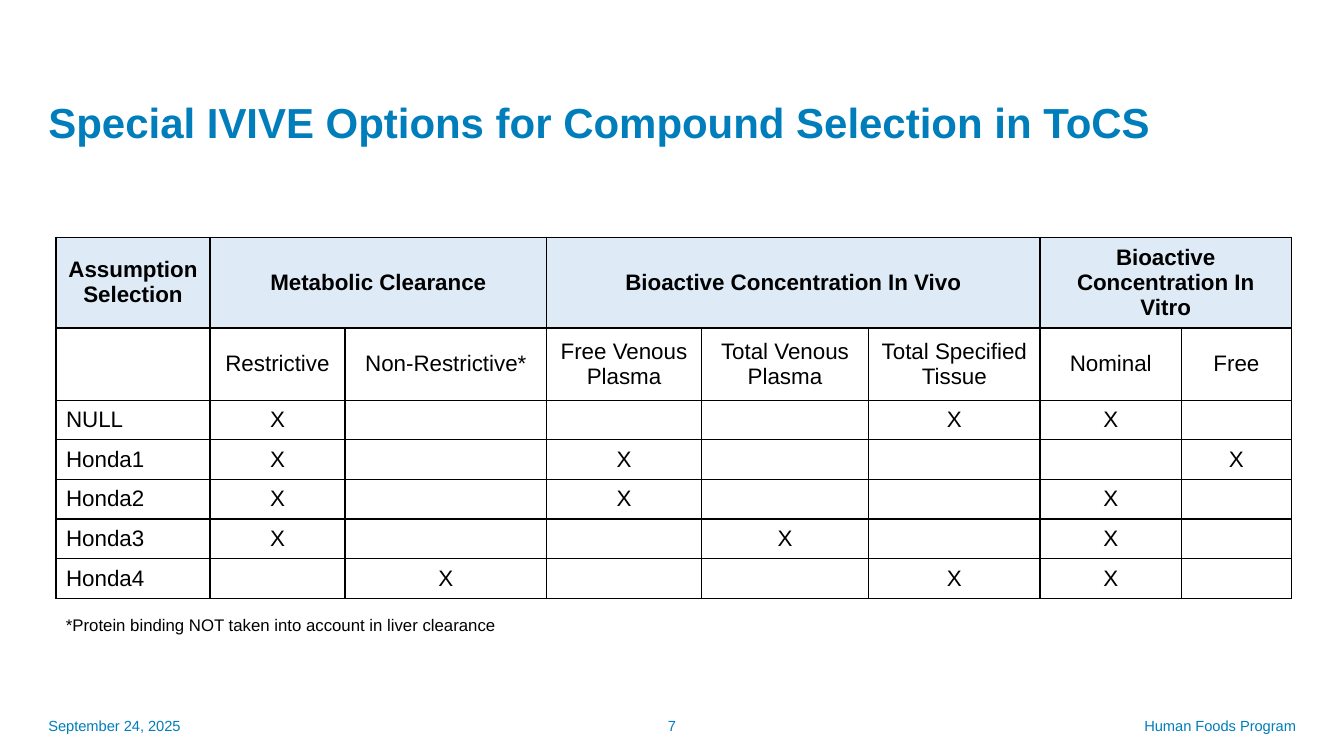
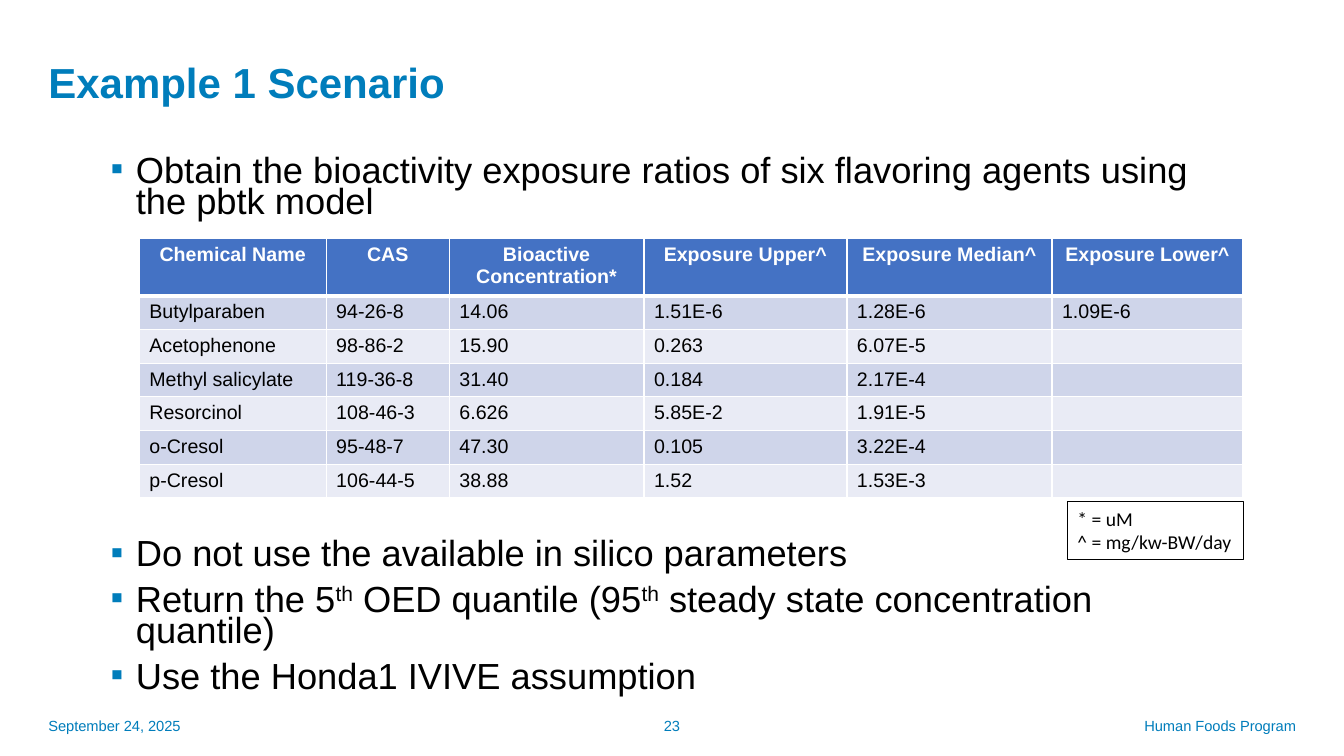
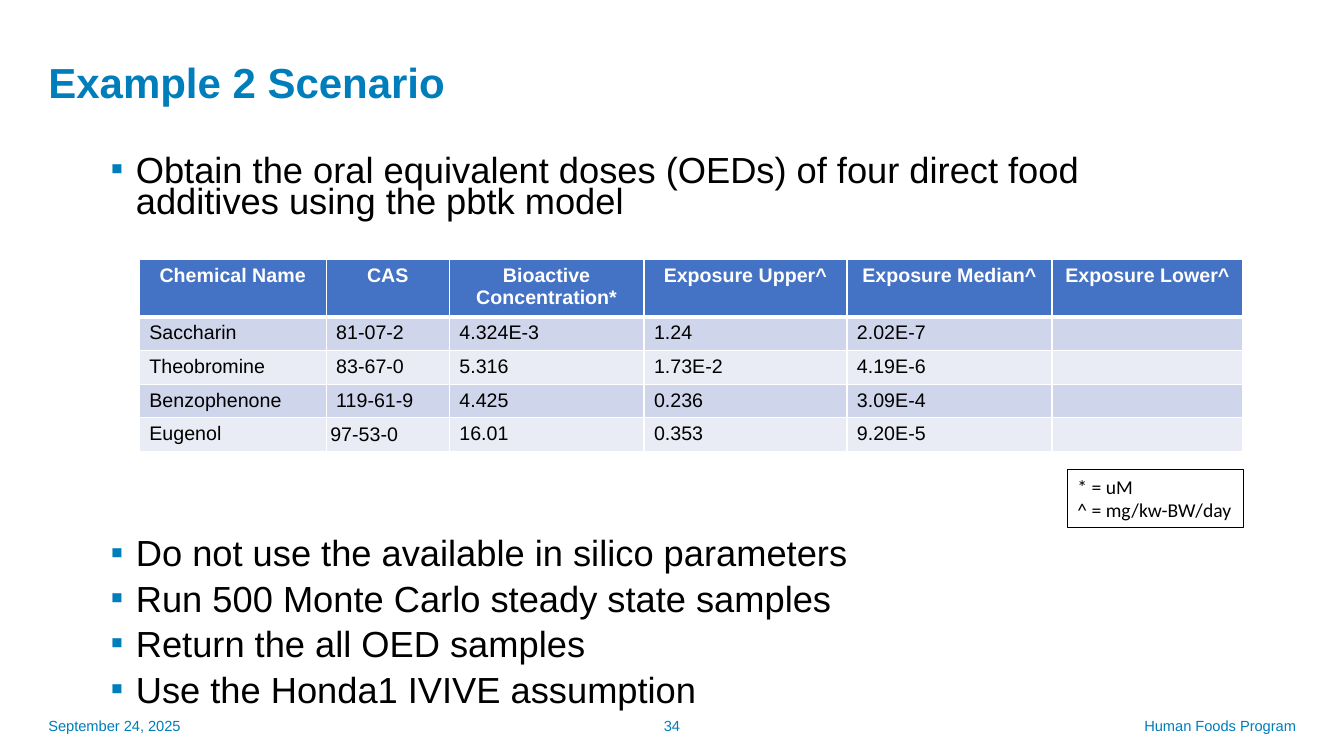
"""Build three slides on IVIVE options and two example scenarios."""
from dataclasses import dataclass, field
from typing import Optional

from lxml import etree
from pptx import Presentation
from pptx import util as u
from pptx.dml.color import RGBColor
from pptx.enum import shapes, text
from pptx.oxml.ns import qn

Pt = u.Pt
LEFT, CENTER, RIGHT = text.PP_ALIGN.LEFT, text.PP_ALIGN.CENTER, text.PP_ALIGN.RIGHT
TOP, MIDDLE = text.MSO_ANCHOR.TOP, text.MSO_ANCHOR.MIDDLE


@dataclass(frozen=True)
class Theme:
    """Colours, fonts and type sizes of the deck."""
    accent: str = "007DBB"
    ink: str = "000000"
    paper: str = "FFFFFF"
    option_header: str = "DEEBF7"
    data_header: str = "4472C4"
    bands: tuple = ("CFD5EA", "E9EBF5")
    font: str = "Arial"
    legend_font: str = "Calibri"
    title_size: float = 30
    body_size: float = 25.9
    option_size: float = 16
    data_size: float = 14
    note_size: float = 12
    footer_size: float = 10.5


THEME = Theme()


@dataclass(frozen=True)
class Box:
    """Position and size in points."""
    left: float
    top: float
    width: float
    height: float


@dataclass(frozen=True)
class TableStyle:
    """Look of one kind of table."""
    widths: tuple
    size: float
    header_fill: str
    header_color: str
    bands: tuple
    border: str
    header_rule: float
    anchor: text.MSO_ANCHOR
    body_align: text.PP_ALIGN


@dataclass(frozen=True)
class Scenario:
    """Content of one example slide."""
    number: int
    title: str
    intro: str
    rows: tuple
    table_top: float
    legend_top: float
    steps: tuple
    tight_cells: tuple = field(default=())


OPTION_STYLE = TableStyle(
    (110, 96.5, 144, 110.5, 119.5, 122.5, 101, 78.5), THEME.option_size,
    THEME.option_header, THEME.ink, (None,), THEME.ink, 1, MIDDLE, CENTER)
DATA_STYLE = TableStyle(
    (133.5, 88, 139, 145, 146.5, 136.5), THEME.data_size,
    THEME.data_header, THEME.paper, THEME.bands, THEME.paper, 3, TOP, LEFT)

OPTION_GROUPS = (("Assumption Selection", 1), ("Metabolic Clearance", 2),
                 ("Bioactive Concentration In Vivo", 3),
                 ("Bioactive Concentration In Vitro", 2))
OPTIONS = ("", "Restrictive", "Non-Restrictive*", "Free Venous Plasma",
           "Total Venous Plasma", "Total Specified Tissue", "Nominal", "Free")
CHOICES = {"NULL": (1, 5, 6), "Honda1": (1, 3, 7), "Honda2": (1, 3, 6),
           "Honda3": (1, 4, 6), "Honda4": (2, 5, 6)}
DATA_HEADER = ("Chemical Name", "CAS", "Bioactive Concentration*",
               "Exposure Upper^", "Exposure Median^", "Exposure Lower^")
NO_SILICO = "Do not use the available in silico parameters"
USE_HONDA = "Use the Honda1 IVIVE assumption"

SCENARIOS = (
    Scenario(
        23, "Example 1 Scenario",
        "Obtain the bioactivity exposure ratios of six flavoring agents using the pbtk model",
        (("Butylparaben", "94-26-8", "14.06", "1.51E-6", "1.28E-6", "1.09E-6"),
         ("Acetophenone", "98-86-2", "15.90", "0.263", "6.07E-5", ""),
         ("Methyl salicylate", "119-36-8", "31.40", "0.184", "2.17E-4", ""),
         ("Resorcinol", "108-46-3", "6.626", "5.85E-2", "1.91E-5", ""),
         ("o-Cresol", "95-48-7", "47.30", "0.105", "3.22E-4", ""),
         ("p-Cresol", "106-44-5", "38.88", "1.52", "1.53E-3", "")),
        170.5, 358.5,
        (NO_SILICO,
         "Return the 5|th| OED quantile (95|th| steady state concentration quantile)",
         USE_HONDA)),
    Scenario(
        34, "Example 2 Scenario",
        "Obtain the oral equivalent doses (OEDs) of four direct food additives "
        "using the pbtk model",
        (("Saccharin", "81-07-2", "4.324E-3", "1.24", "2.02E-7", ""),
         ("Theobromine", "83-67-0", "5.316", "1.73E-2", "4.19E-6", ""),
         ("Benzophenone", "119-61-9", "4.425", "0.236", "3.09E-4", ""),
         ("Eugenol", "97-53-0", "16.01", "0.353", "9.20E-5", "")),
        185.5, 335.5,
        (NO_SILICO, "Run 500 Monte Carlo steady state samples",
         "Return the all OED samples", USE_HONDA),
        ((4, 1),)),
)


def add_bullet(paragraph) -> None:
    """Give a paragraph a hanging square bullet."""
    properties = paragraph._p.get_or_add_pPr()
    properties.set("marL", str(Pt(18)))
    properties.set("indent", str(-Pt(18)))
    color = etree.SubElement(properties, qn("a:buClr"))
    etree.SubElement(color, qn("a:srgbClr"), val=THEME.accent)
    etree.SubElement(properties, qn("a:buFont"), typeface=THEME.font)
    etree.SubElement(properties, qn("a:buChar"), char="▪")


def write(frame, *lines: str, size: float, color: str = THEME.ink,
          font: str = THEME.font, bold: bool = False, align=LEFT, anchor=TOP,
          line_spacing: Optional[float] = None, space_before: float = 0,
          bullet: bool = False) -> None:
    """Fill a text frame, one paragraph a line, with |bars| around superscripts."""
    frame.word_wrap = True
    frame.vertical_anchor = anchor
    for index, line in enumerate(lines):
        paragraph = frame.add_paragraph() if index else frame.paragraphs[0]
        if bullet:
            add_bullet(paragraph)
        paragraph.alignment = align
        if line_spacing:
            paragraph.line_spacing = line_spacing
        if index:
            paragraph.space_before = Pt(space_before)
        if not line:
            etree.SubElement(paragraph._p, qn("a:endParaRPr"), sz=str(int(size * 100)))
            continue
        for position, piece in enumerate(line.split("|")):
            run = paragraph.add_run()
            run.text = piece
            run.font.name, run.font.size, run.font.bold = font, Pt(size), bold
            run.font.color.rgb = RGBColor.from_string(color)
            if position % 2:
                run.font._element.set("baseline", "30000")


def add_text(slide, box: Box, *lines: str, **style) -> None:
    """Add a text box."""
    shape = slide.shapes.add_textbox(
        Pt(box.left), Pt(box.top), Pt(box.width), Pt(box.height))
    write(shape.text_frame, *lines, **style)


def add_borders(cell, color: str, bottom: float, top: float) -> None:
    """Draw the four borders of a cell."""
    properties = cell._tc.get_or_add_tcPr()
    for side, width in (("L", 1), ("R", 1), ("T", top), ("B", bottom)):
        line = etree.SubElement(properties, qn(f"a:ln{side}"), w=str(Pt(width)))
        fill = etree.SubElement(line, qn("a:solidFill"))
        etree.SubElement(fill, qn("a:srgbClr"), val=color)


def add_grid(slide, left: float, top: float, heights: list, rows: list, style: TableStyle):
    """Add a table whose first row is the header."""
    table = slide.shapes.add_table(
        len(rows), len(style.widths), Pt(left), Pt(top),
        Pt(sum(style.widths)), Pt(sum(heights))).table
    table.first_row = table.horz_banding = False
    for column, width in zip(table.columns, style.widths):
        column.width = Pt(width)
    for index, (height, row) in enumerate(zip(heights, rows)):
        table.rows[index].height = Pt(height)
        header = index == 0
        fill = style.header_fill if header else style.bands[(index - 1) % len(style.bands)]
        for position, value in enumerate(row):
            cell = table.cell(index, position)
            add_borders(cell, style.border, style.header_rule if header else 1,
                        style.header_rule if index == 1 else 1)
            if fill:
                cell.fill.solid()
                cell.fill.fore_color.rgb = RGBColor.from_string(fill)
            else:
                cell.fill.background()
            write(cell.text_frame, value, size=style.size, bold=header,
                  color=style.header_color if header else THEME.ink,
                  align=CENTER if header else style.body_align if position else LEFT)
            cell.vertical_anchor = style.anchor
    return table


def start_slide(presentation, title: str, title_top: float, number: int):
    """Add a blank slide with its title and footers."""
    slide = presentation.slides.add_slide(presentation.slide_layouts[6])
    add_text(slide, Box(27.5, title_top, 828, 43), title, size=THEME.title_size,
             color=THEME.accent, bold=True, line_spacing=0.9, anchor=MIDDLE)
    for left, width, label, align in ((27.5, 216, "September 24, 2025", LEFT),
                                      (372, 216, str(number), CENTER),
                                      (609, 324, "Human Foods Program", RIGHT)):
        add_text(slide, Box(left, 504, width, 29), label, size=THEME.footer_size,
                 color=THEME.accent, align=align, anchor=MIDDLE)
    return slide


def add_options_slide(presentation) -> None:
    """Add the table of IVIVE assumptions."""
    slide = start_slide(
        presentation, "Special IVIVE Options for Compound Selection in ToCS", 67.5, 7)
    header = [label for name, span in OPTION_GROUPS for label in (name, *[""] * (span - 1))]
    choices = [(name, *("X" if column in marks else "" for column in range(1, len(OPTIONS))))
               for name, marks in CHOICES.items()]
    heights = [60, 51.5] + [28.3] * len(choices)
    table = add_grid(slide, 40, 169.5, heights, [header, OPTIONS, *choices], OPTION_STYLE)
    start = 0
    for _, span in OPTION_GROUPS:
        if span > 1:
            table.cell(0, start).merge(table.cell(0, start + span - 1))
        start += span
    add_text(slide, Box(40, 435.5, 882, 22),
             "*Protein binding NOT taken into account in liver clearance", size=THEME.note_size)


def add_scenario_slide(presentation, scenario: Scenario) -> None:
    """Add one example with its bullets, data table and unit legend."""
    slide = start_slide(presentation, scenario.title, 39.5, scenario.number)
    for top, height, lines in ((109.5, 55, (scenario.intro,)), (383.5, 120, scenario.steps)):
        add_text(slide, Box(72, top, 803, height), *lines, size=THEME.body_size,
                 line_spacing=0.72, space_before=10, bullet=True)
    heights = [38.5] + [23] * len(scenario.rows)
    table = add_grid(slide, 99.5, scenario.table_top, heights,
                     [DATA_HEADER, *scenario.rows], DATA_STYLE)
    for row, column in scenario.tight_cells:
        cell = table.cell(row, column)
        cell.margin_left = cell.margin_right = Pt(3)
        cell.margin_top = cell.margin_bottom = Pt(2)
        cell.vertical_anchor = MIDDLE
    legend = slide.shapes.add_shape(
        shapes.MSO_SHAPE.RECTANGLE, Pt(762.5), Pt(scenario.legend_top), Pt(125.5), Pt(41))
    legend.shadow.inherit = False
    legend.fill.background()
    legend.line.color.rgb = RGBColor.from_string(THEME.ink)
    legend.line.width = Pt(0.75)
    write(legend.text_frame, "* = uM", "^ = mg/kw-BW/day",
          size=THEME.data_size, font=THEME.legend_font)


def main() -> None:
    """Build and save the deck."""
    presentation = Presentation()
    presentation.slide_width, presentation.slide_height = Pt(960), Pt(540)
    add_options_slide(presentation)
    for scenario in SCENARIOS:
        add_scenario_slide(presentation, scenario)
    presentation.save("out.pptx")


if __name__ == "__main__":
    main()
